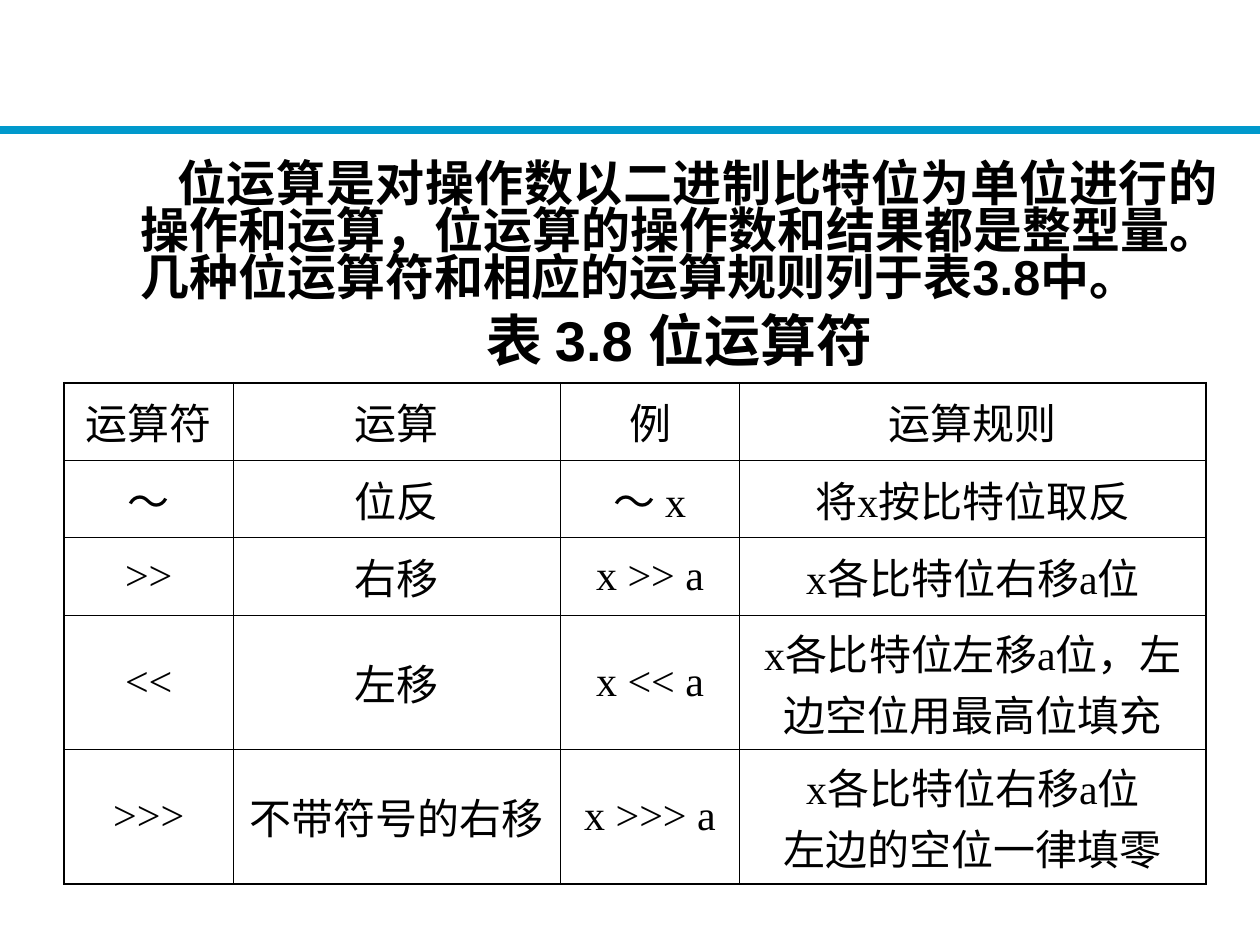
from lxml.etree import SubElement
from pptx import Presentation
from pptx.dml.color import RGBColor
from pptx.enum.shapes import MSO_CONNECTOR
from pptx.enum.text import MSO_ANCHOR, PP_ALIGN
from pptx.oxml import parse_xml
from pptx.oxml.ns import nsdecls, qn
from pptx.util import Pt


def color(value):
    return RGBColor.from_string(value)


def add_text(paragraph, text, font, size, bold=False):
    span = paragraph.add_run()
    span.text = text
    span.font.name = font
    span.font.size = Pt(size)
    span.font.bold = bold
    span.font.color.rgb = color("000000")


deck = Presentation()
deck.slide_width, deck.slide_height = Pt(720), Pt(540)
page = deck.slides.add_slide(deck.slide_layouts[6])

# Blue rule under the heading area
rule = page.shapes.add_connector(MSO_CONNECTOR.STRAIGHT, Pt(0), Pt(74.25), Pt(720), Pt(74.25))
rule.line.color.rgb = color("0099CC")
rule.line.width = Pt(4.5)
SubElement(rule._element.spPr, qn("a:effectLst"))

# Introduction and table caption
box = page.shapes.add_textbox(Pt(73.25), Pt(90), Pt(630), Pt(128))
frame = box.text_frame
frame.word_wrap = True
intro = frame.paragraphs[0]
intro.alignment = PP_ALIGN.JUSTIFY
intro.line_spacing = 0.8
intro._p.get_or_add_pPr().set("indent", str(Pt(21)))
add_text(intro, "位运算是对操作数以二进制比特位为单位进行的操作和运算，位运算的操作数和结果都是整型量。"
         "几种位运算符和相应的运算规则列于表3.8中。", "Arial", 28, True)
caption = frame.add_paragraph()
caption.alignment = PP_ALIGN.CENTER
caption.line_spacing = 0.8
caption.space_before = Pt(8)
add_text(caption, "表 3.8 位运算符", "Arial", 32, True)

# Operator table
rows = [
    ("运算符", "运算", "例", "运算规则"),
    ("～", "位反", "～ x", "将x按比特位取反"),
    (">>", "右移", "x >> a", "x各比特位右移a位"),
    ("<<", "左移", "x << a", "x各比特位左移a位，左边空位用最高位填充"),
    (">>>", "不带符号的右移", "x >>> a", "x各比特位右移a位\n左边的空位一律填零"),
]
widths = [96.5, 187, 102.5, 266.5]
heights = [44.25, 44.25, 44.25, 76.75, 76.75]
table = page.shapes.add_table(len(rows), len(widths), Pt(36.75), Pt(218.75),
                              Pt(sum(widths)), Pt(sum(heights))).table
table.first_row = False
table.horz_banding = False
for column, width in zip(table.columns, widths):
    column.width = Pt(width)

for r, texts in enumerate(rows):
    table.rows[r].height = Pt(heights[r])
    for c, text in enumerate(texts):
        cell = table.cell(r, c)
        cell.vertical_anchor = MSO_ANCHOR.MIDDLE
        cell.fill.background()
        for i, line in enumerate(text.split("\n")):
            paragraph = cell.text_frame.add_paragraph() if i else cell.text_frame.paragraphs[0]
            paragraph.alignment = PP_ALIGN.CENTER
            add_text(paragraph, line, "Times New Roman", 24)

        # Heavier lines on the outer edge of the table
        outer = {"L": c == 0, "R": c == len(widths) - 1, "T": r == 0, "B": r == len(rows) - 1}
        for position, (side, is_outer) in enumerate(outer.items()):
            weight = Pt(1.08 if is_outer else 0.34)
            cell._tc.get_or_add_tcPr().insert(position, parse_xml(
                f'<a:ln{side} {nsdecls("a")} w="{weight}"><a:solidFill>'
                f'<a:srgbClr val="000000"/></a:solidFill></a:ln{side}>'))

deck.save("out.pptx")
